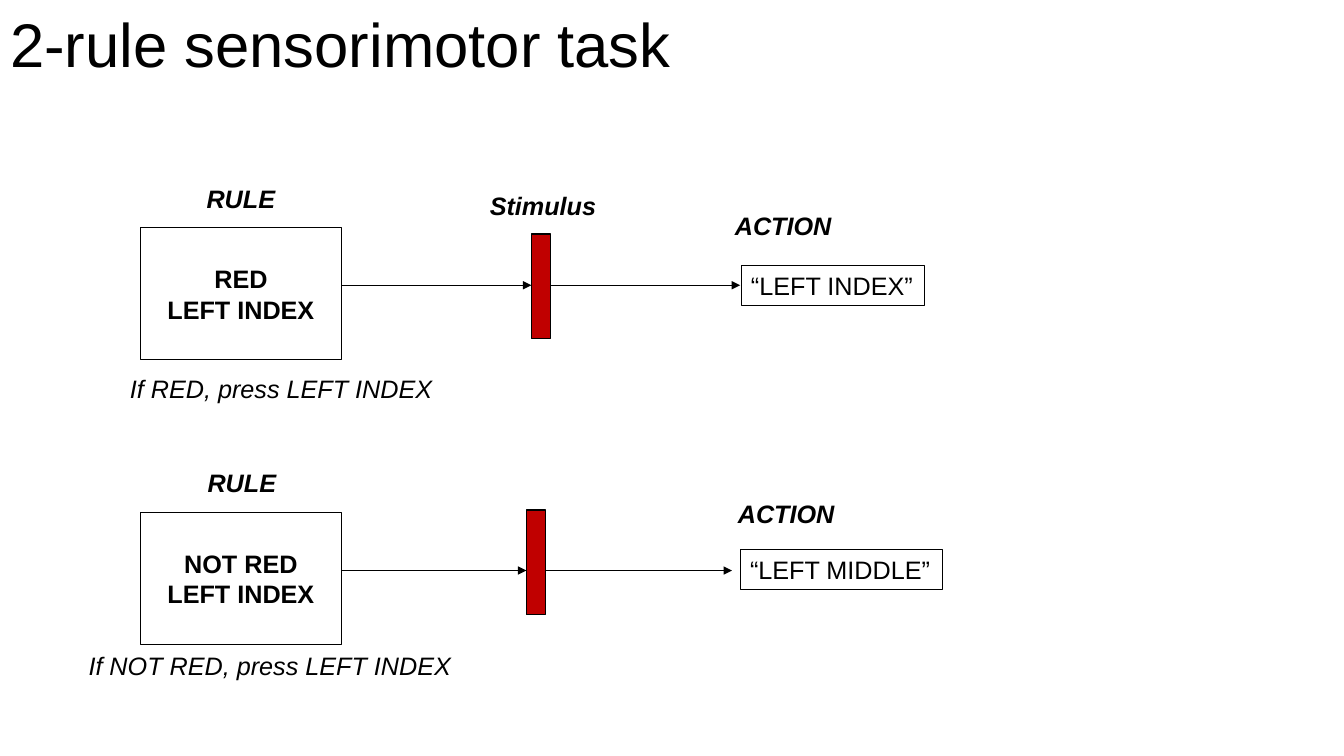
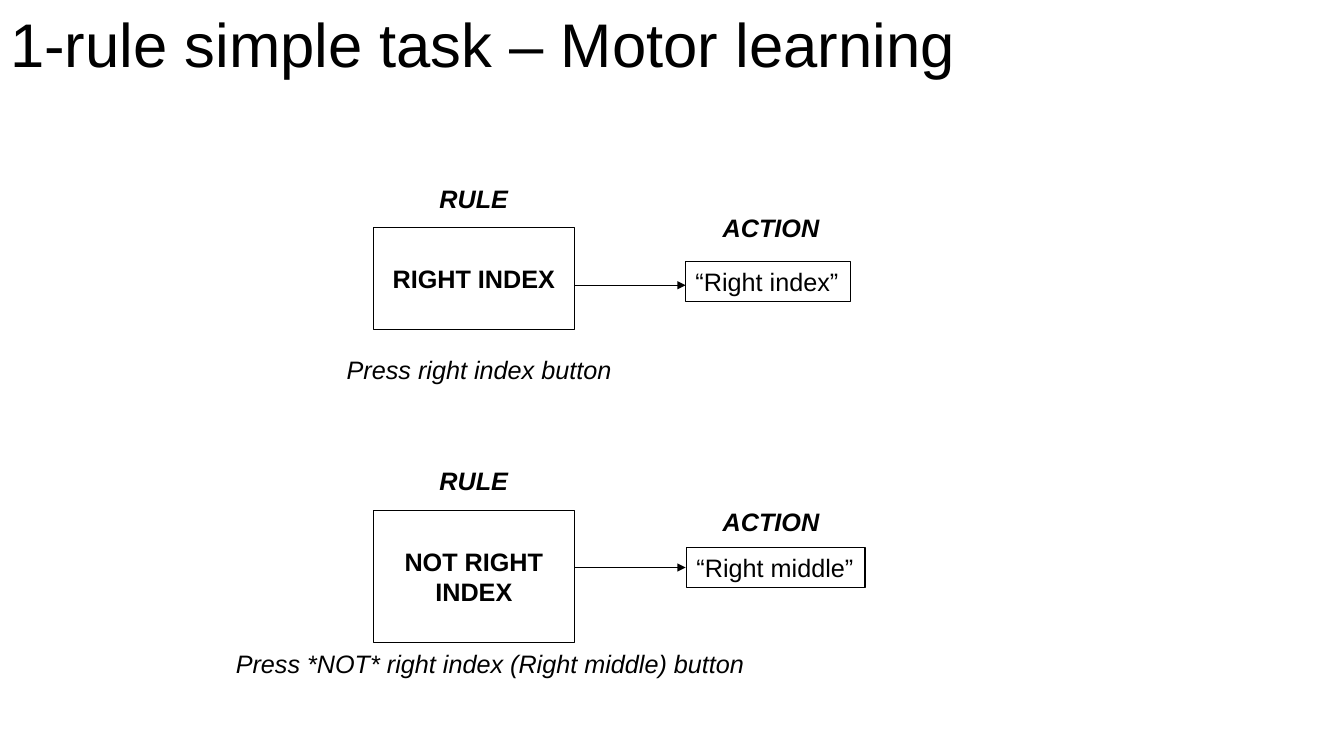
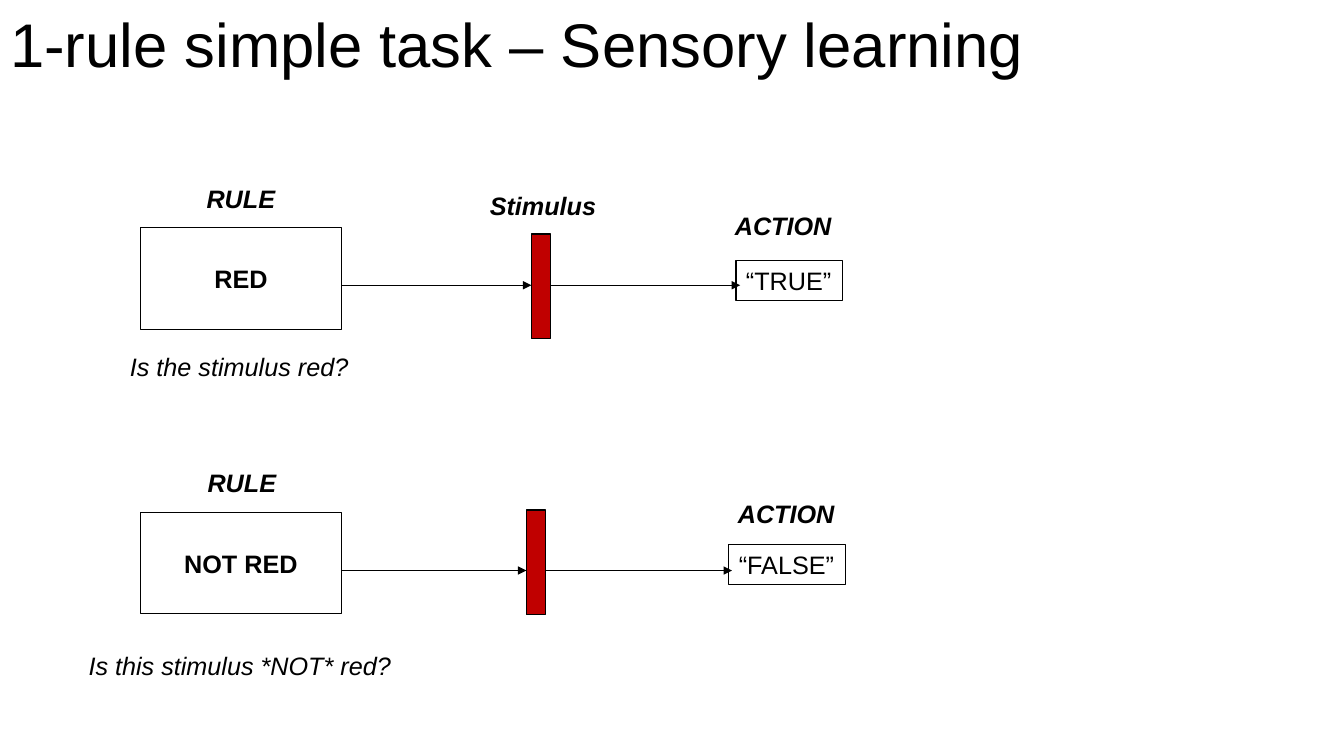
from dataclasses import dataclass
from typing import Optional

from lxml import etree
from pptx import Presentation
from pptx.dml.color import RGBColor
from pptx.enum.shapes import MSO_CONNECTOR, MSO_SHAPE
from pptx.enum.text import MSO_ANCHOR, MSO_AUTO_SIZE, PP_ALIGN
from pptx.oxml.ns import qn
from pptx.util import Inches, Pt

RECTANGLE = MSO_SHAPE.RECTANGLE
STRAIGHT = MSO_CONNECTOR.STRAIGHT
MIDDLE = MSO_ANCHOR.MIDDLE
LEFT, CENTER = PP_ALIGN.LEFT, PP_ALIGN.CENTER
FIT_SHAPE, NO_FIT = MSO_AUTO_SIZE.SHAPE_TO_FIT_TEXT, MSO_AUTO_SIZE.NONE

COLORS = {"ink": "000000", "stimulus": "C00000"}
FONT = "Arial"
TITLE_SIZE, BODY_SIZE = 44, 18
SLIDE_WIDTH, SLIDE_HEIGHT = 13.33, 7.5
TITLE_HEIGHT = 0.95
LABEL_HEIGHT = 0.4
RULE_WIDTH = 2
STIMULUS_WIDTH, STIMULUS_HEIGHT = 0.19, 1.04


# Positions in a row; every (x, y) but the origin counts from the rule box corner
@dataclass
class RowLayout:
    origin: tuple
    rule_label: tuple
    action_label: tuple
    arrow_y: float
    arrow_end: float
    stimulus: Optional[tuple] = None
    stimulus_label: Optional[tuple] = None


# Wording of a row; answer and caption are (text, x, y, width) from the same corner
@dataclass
class Row:
    layout: RowLayout
    rule: str
    rule_height: float
    answer: tuple
    caption: tuple


UPPER = RowLayout((1.39, 2.26), (0.56, -0.49), (5.8, -0.22), 0.57, 5.95,
                  (3.88, 0.06), (3.37, -0.42))
LOWER = RowLayout((1.39, 5.08), (0.57, -0.49), (5.83, -0.19), 0.58, 5.87,
                  (3.83, -0.02))
MOTOR_UPPER = RowLayout((3.7, 2.26), (0.56, -0.49), (3.37, -0.2), 0.57, 3.1)
MOTOR_LOWER = RowLayout((3.7, 5.06), (0.56, -0.49), (3.37, -0.09), 0.57, 3.1)

SLIDES = [
    ("2-rule sensorimotor task", [
        Row(UPPER, "RED\nLEFT INDEX", 1.31,
            ("“LEFT INDEX”", 5.96, 0.37, 1.82),
            ("If RED, press LEFT INDEX", -0.2, 1.39, 3.23)),
        Row(LOWER, "NOT RED\nLEFT INDEX", 1.31,
            ("“LEFT MIDDLE”", 5.95, 0.37, 2.01),
            ("If NOT RED, press LEFT INDEX", -0.61, 1.32, 3.83)),
    ]),
    ("1-rule simple task – Motor learning", [
        Row(MOTOR_UPPER, "RIGHT INDEX", 1.01,
            ("“Right index”", 3.1, 0.33, 1.64),
            ("Press right index button", -0.36, 1.21, 2.85)),
        Row(MOTOR_LOWER, "NOT RIGHT INDEX", 1.31,
            ("“Right middle”", 3.11, 0.37, 1.77),
            ("Press *NOT* right index (Right middle) button", -1.46, 1.32, 5.42)),
    ]),
    ("1-rule simple task – Sensory learning", [
        Row(UPPER, "RED", 1.01,
            ("“TRUE”", 5.91, 0.32, 1.06),
            ("Is the stimulus red?", -0.2, 1.18, 2.39)),
        Row(LOWER, "NOT RED", 1.01,
            ("“FALSE”", 5.84, 0.32, 1.16),
            ("Is this stimulus *NOT* red?", -0.61, 1.32, 3.23)),
    ]),
]


def color(name):
    return RGBColor.from_string(COLORS[name])


def write(text_frame, text, size=BODY_SIZE, bold=False, italic=False, align=LEFT):
    text_frame.text = text
    for paragraph in text_frame.paragraphs:
        paragraph.alignment = align
        for run in paragraph.runs:
            font = run.font
            font.name, font.size = FONT, Pt(size)
            font.bold, font.italic = bold, italic
            font.color.rgb = color("ink")


def add_box(slide, left, top, width, height, line_width=0.75, fill=None):
    box = slide.shapes.add_shape(RECTANGLE, Inches(left), Inches(top),
                                 Inches(width), Inches(height))
    box.shadow.inherit = False
    if fill:
        box.fill.solid()
        box.fill.fore_color.rgb = color(fill)
    else:
        box.fill.background()
    box.line.color.rgb = color("ink")
    box.line.width = Pt(line_width)
    return box


def fit_text(shape, text, bold=False, italic=False):
    """One unwrapped line in a shape that fits its text."""
    write(shape.text_frame, text, bold=bold, italic=italic)
    shape.text_frame.word_wrap = False
    shape.text_frame.auto_size = FIT_SHAPE


def add_label(slide, text, left, top, width, bold=True):
    label = slide.shapes.add_textbox(Inches(left), Inches(top),
                                     Inches(width), Inches(LABEL_HEIGHT))
    fit_text(label, text, bold=bold, italic=True)


def add_arrow(slide, start, end, y):
    arrow = slide.shapes.add_connector(STRAIGHT, Inches(start), Inches(y),
                                       Inches(end), Inches(y))
    arrow.line.color.rgb = color("ink")
    arrow.line.width = Pt(0.5)
    etree.SubElement(arrow.line._get_or_add_ln(), qn("a:tailEnd"), type="triangle")
    etree.SubElement(arrow._element.spPr, qn("a:effectLst"))


def add_row(slide, row):
    """Rule box, optional stimulus bar and answer box, joined by arrows."""
    layout = row.layout
    left, top = layout.origin

    def place(offset):
        return left + offset[0], top + offset[1]

    # Rule
    rule_box = add_box(slide, left, top, RULE_WIDTH, row.rule_height)
    rule_frame = rule_box.text_frame
    write(rule_frame, row.rule, bold=True, align=CENTER)
    rule_frame.word_wrap = True
    rule_frame.auto_size = NO_FIT
    rule_frame.vertical_anchor = MIDDLE
    add_label(slide, "RULE", *place(layout.rule_label), 0.89)
    text, x, y, width = row.caption
    add_label(slide, text, *place((x, y)), width, bold=False)

    # Stimulus and arrows
    arrow_start = left + RULE_WIDTH
    arrow_y = top + layout.arrow_y
    if layout.stimulus:
        bar_left, bar_top = place(layout.stimulus)
        add_arrow(slide, arrow_start, bar_left, arrow_y)
        add_box(slide, bar_left, bar_top, STIMULUS_WIDTH, STIMULUS_HEIGHT,
                line_width=1, fill="stimulus")
        arrow_start = bar_left + STIMULUS_WIDTH
    if layout.stimulus_label:
        add_label(slide, "Stimulus", *place(layout.stimulus_label), 1.27)
    add_arrow(slide, arrow_start, left + layout.arrow_end, arrow_y)

    # Action
    add_label(slide, "ACTION", *place(layout.action_label), 1.17)
    text, x, y, width = row.answer
    fit_text(add_box(slide, *place((x, y)), width, LABEL_HEIGHT), text)


def add_title(slide, text):
    title = slide.shapes.title
    title.left, title.top = Inches(0), Inches(0)
    title.width, title.height = Inches(SLIDE_WIDTH), Inches(TITLE_HEIGHT)
    write(title.text_frame, text, size=TITLE_SIZE)
    title.text_frame.paragraphs[0].line_spacing = 0.9
    title.text_frame.vertical_anchor = MIDDLE
    title.text_frame.auto_size = NO_FIT


def main():
    presentation = Presentation()
    presentation.slide_width = Inches(SLIDE_WIDTH)
    presentation.slide_height = Inches(SLIDE_HEIGHT)
    title_only = presentation.slide_layouts.get_by_name("Title Only")
    for title, rows in SLIDES:
        slide = presentation.slides.add_slide(title_only)
        add_title(slide, title)
        for row in rows:
            add_row(slide, row)
    presentation.save("out.pptx")


if __name__ == "__main__":
    main()
